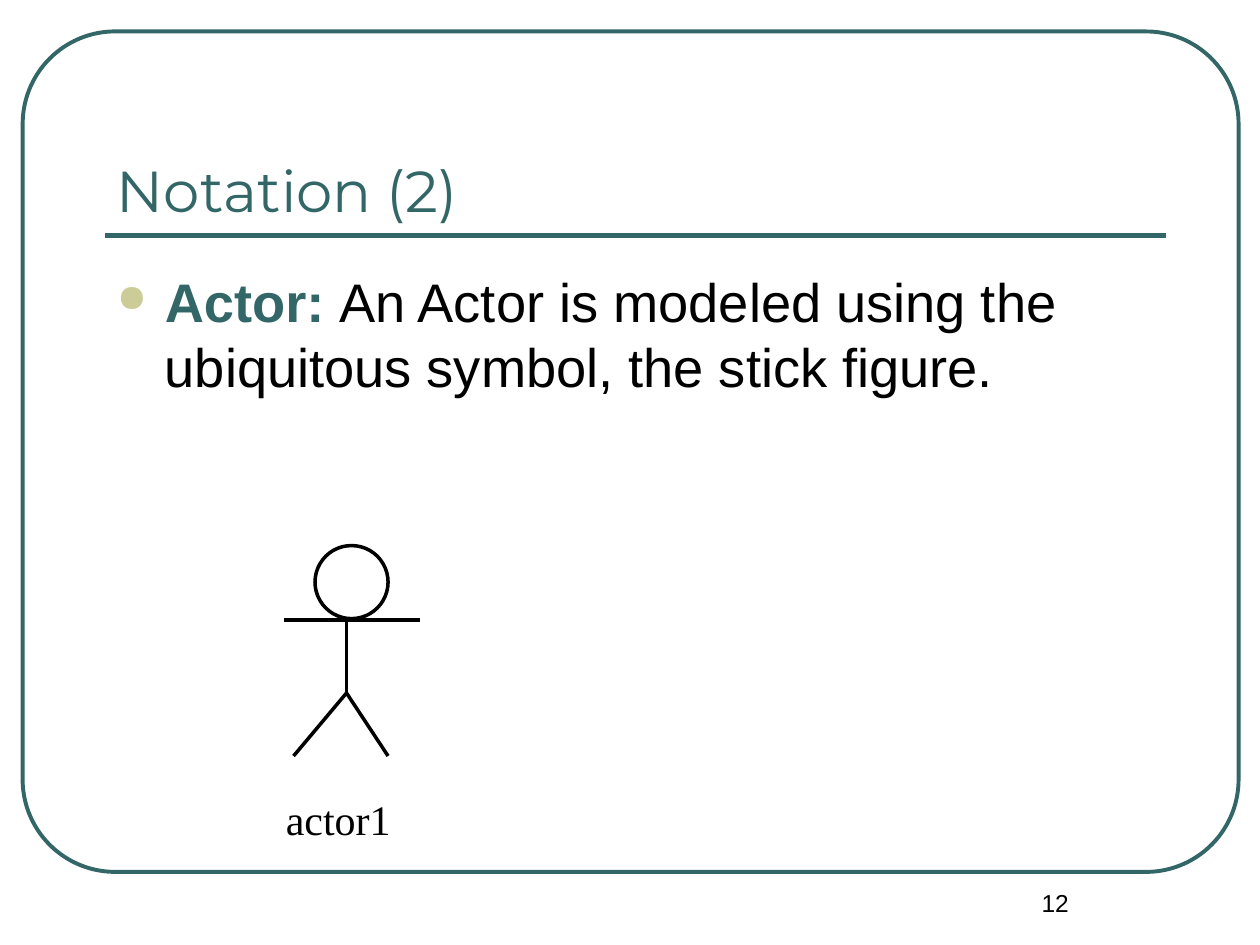
"""Build the slide that shows the stick figure notation for an actor."""
from lxml import etree
from pptx import Presentation
from pptx.dml.color import RGBColor
from pptx.enum.shapes import MSO_CONNECTOR, MSO_SHAPE
from pptx.enum.text import MSO_ANCHOR, PP_ALIGN
from pptx.oxml.ns import qn
from pptx.util import Inches, Pt

STRAIGHT = MSO_CONNECTOR.STRAIGHT
ROUNDED, HEAD = MSO_SHAPE.ROUNDED_RECTANGLE, MSO_SHAPE.FLOWCHART_CONNECTOR
TOP, BOTTOM = MSO_ANCHOR.TOP, MSO_ANCHOR.BOTTOM
LEFT, CENTER = PP_ALIGN.LEFT, PP_ALIGN.CENTER

COLORS = {"teal": "336666", "sand": "CCCC99", "black": "000000"}

TITLE = [("Notation (2)", "teal", False)]
BODY = [
    ("Actor: ", "teal", True),
    ("An Actor is modeled using the ubiquitous symbol, the stick figure.", "black", False),
]
ACTOR_NAME = [("actor1", "black", False)]
PAGE_NUMBER = [("12", "black", False)]

FRAME = (0.18, 0.25, 9.65, 6.67)
TITLE_RULE = ((0.83, 1.87), (9.25, 1.87))
HEAD_BOX = (2.5, 4.33, 0.58, 0.58)
NECK, HIP = (2.75, 4.92), (2.75, 5.5)
LIMBS = [
    (NECK, HIP),
    (HIP, (2.33, 6)),
    (HIP, (3.08, 6)),
    ((2.25, 4.92), (3.33, 4.92)),
]


def color(name):
    return RGBColor.from_string(COLORS[name])


def add_outline(slide, kind, box, color_name, width):
    shape = slide.shapes.add_shape(kind, *map(Inches, box))
    shape.shadow.inherit = False
    shape.fill.background()
    shape.line.color.rgb = color(color_name)
    shape.line.width = Pt(width)
    return shape


def add_line(slide, start, end, color_name, width):
    line = slide.shapes.add_connector(STRAIGHT, *map(Inches, start + end))
    line.line.color.rgb = color(color_name)
    line.line.width = Pt(width)
    etree.SubElement(line._element.spPr, qn("a:effectLst"))


def add_text(slide, box, runs, font, size, align=LEFT, anchor=TOP):
    text_frame = slide.shapes.add_textbox(*map(Inches, box)).text_frame
    text_frame.word_wrap = True
    text_frame.vertical_anchor = anchor
    paragraph = text_frame.paragraphs[0]
    paragraph.alignment = align
    for text, color_name, bold in runs:
        run = paragraph.add_run()
        run.text = text
        run.font.name = font
        run.font.size = Pt(size)
        run.font.bold = bold
        run.font.color.rgb = color(color_name)
    return paragraph


def add_bullet(paragraph, symbol, color_name, percent, indent):
    properties = paragraph._p.get_or_add_pPr()
    properties.set("marL", str(Inches(indent)))
    properties.set("indent", str(-Inches(indent)))
    bullet_color = etree.SubElement(properties, qn("a:buClr"))
    etree.SubElement(bullet_color, qn("a:srgbClr"), val=COLORS[color_name])
    etree.SubElement(properties, qn("a:buSzPct"), val=str(percent * 1000))
    etree.SubElement(properties, qn("a:buChar"), char=symbol)


def main():
    presentation = Presentation()
    presentation.slide_width, presentation.slide_height = Inches(10), Inches(7.5)
    slide = presentation.slides.add_slide(presentation.slide_layouts[6])

    frame = add_outline(slide, ROUNDED, FRAME, "teal", 2.25)
    frame.adjustments[0] = 0.11
    add_line(slide, *TITLE_RULE, "teal", 3)

    add_text(slide, (7.5, 7, 1.75, 0.5), PAGE_NUMBER, "Arial", 14, align=CENTER)
    add_text(slide, (0.83, 0.58, 8.42, 1.25), TITLE, "Montserrat", 33, anchor=BOTTOM)
    body = add_text(slide, (0.83, 2.08, 8.42, 4.42), BODY, "Arial", 31)
    add_bullet(body, "●", "sand", 70, 0.38)

    add_outline(slide, HEAD, HEAD_BOX, "black", 2)
    for start, end in LIMBS:
        add_line(slide, start, end, "black", 2)
    add_text(slide, (2.17, 6.25, 1.17, 0.5), ACTOR_NAME, "Times New Roman", 24)

    presentation.save("out.pptx")


if __name__ == "__main__":
    main()
